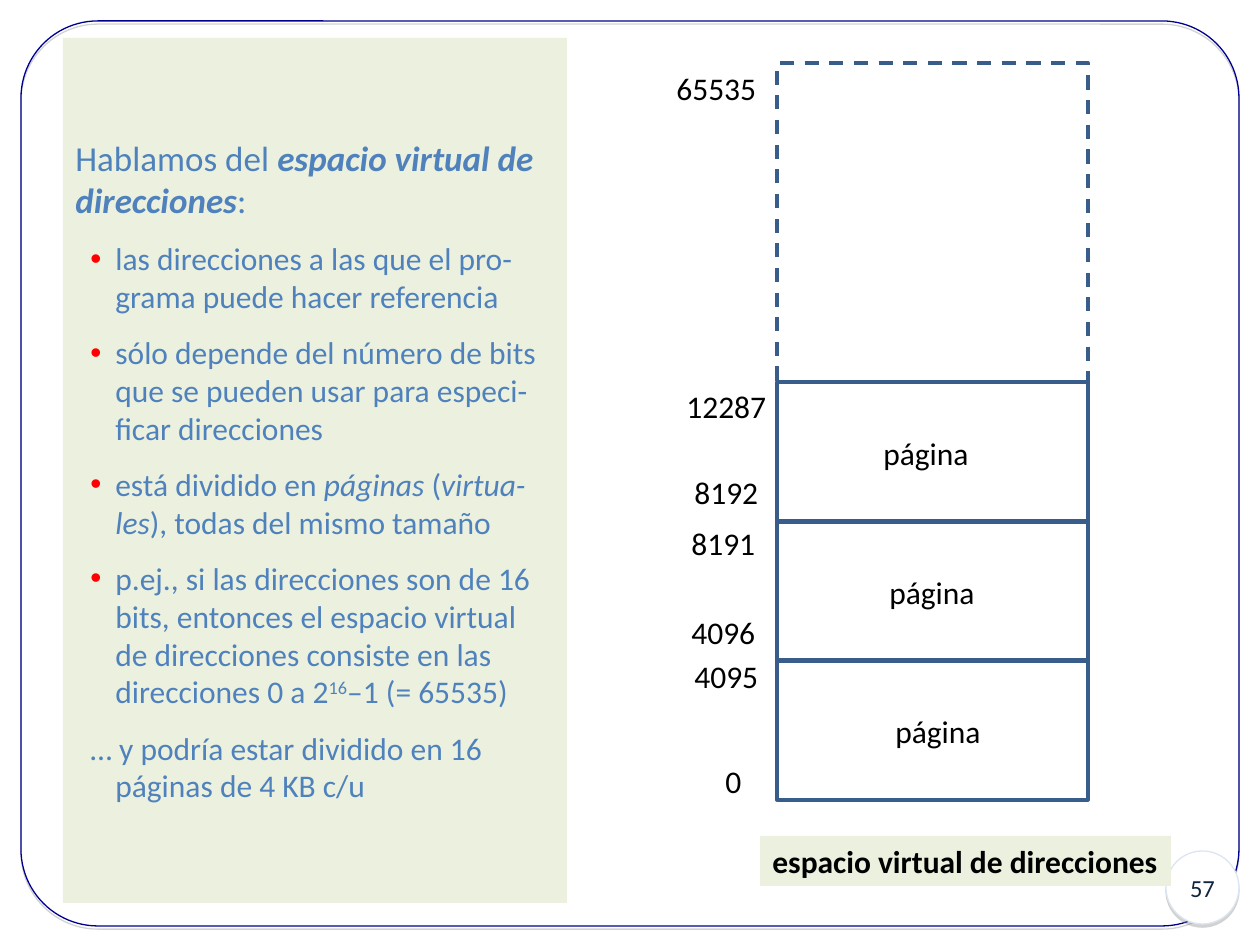
from dataclasses import dataclass

from lxml.etree import SubElement
from pptx import Presentation
from pptx.dml.color import RGBColor as RGB
from pptx.enum.dml import MSO_LINE as LINE
from pptx.enum.shapes import MSO_SHAPE as SHAPE
from pptx.enum.text import MSO_ANCHOR as ANCHOR
from pptx.enum.text import MSO_AUTO_SIZE as AUTO
from pptx.enum.text import PP_ALIGN as ALIGN
from pptx.oxml.ns import qn
from pptx.util import Emu, Pt


@dataclass(frozen=True)
class Theme:
    font: str = "Calibri"
    panel: str = "EBF1DE"
    text: str = "4F81BD"
    black: str = "000000"
    bullet: str = "FF0000"
    page_line: str = "385D8A"
    frame_line: str = "000090"
    badge_fill: str = "FFFFFF"
    badge_line: str = "DCE6F2"
    badge_text: str = "10253F"
    shadow: str = "808080"
    lead_size: int = 20
    body_size: int = 18
    badge_size: int = 14


T = Theme()
PLAIN, ITALIC, SUPER = {}, {"italic": True}, {"baseline": 30000}
STRONG = {"bold": True, "italic": True}

LEAD = [("Hablamos del ", PLAIN), ("espacio virtual de direcciones", STRONG), (":", PLAIN)]
BULLETS = [
    [("las direcciones a las que el pro-grama puede hacer referencia", PLAIN)],
    [("sólo depende del número de bits que se pueden usar para especi-ficar direcciones", PLAIN)],
    [("está dividido en ", PLAIN), ("páginas", ITALIC), (" (", PLAIN),
     ("virtua-les", ITALIC), ("), todas del mismo tamaño", PLAIN)],
    [("p.ej., si las direcciones son de 16 bits, entonces el espacio virtual de direcciones "
      "consiste en las direcciones 0 a 2", PLAIN), ("16", SUPER), ("–1 (= 65535)", PLAIN)],
]
CLOSING = [("… y podría estar dividido en 16 páginas de 4 KB c/u", PLAIN)]

SPACE_X, SPACE_W, SPACE_TOP = 777, 311, 63
PAGE_TOP, PAGE_STEP, PAGE_H, PAGE_COUNT = 382, 139, 140, 3
LABEL_PAD, DIGIT_W, PAGE_LABEL_W = 28, 16, 114
ADDRESSES = [("65535", 664, 63), ("12287", 674, 381), ("8192", 682, 467), ("8191", 679, 518),
             ("4096", 679, 607), ("4095", 682, 651), ("0", 713, 756)]


def px(n):
    return Emu(round(n * 914400 / 126))


def add_box(s, kind, at, fill=None, line=None, width=0.75, dash=None):
    sp = s.shapes.add_shape(kind, *map(px, at))
    sp.shadow.inherit = False
    if fill:
        sp.fill.solid()
        sp.fill.fore_color.rgb = RGB.from_string(fill)
    else:
        sp.fill.background()
    if line:
        sp.line.color.rgb = RGB.from_string(line)
        sp.line.width = Pt(width)
        sp.line.dash_style = dash
    else:
        sp.line.fill.background()
    return sp


def add_shadow(sp):
    """Give the shape a sharp shadow straight below it."""
    effects = sp._element.spPr.find(qn("a:effectLst"))
    shadow = SubElement(effects, qn("a:outerShdw"), dist=str(Pt(1.8)), dir="5400000", rotWithShape="0")
    color = SubElement(shadow, qn("a:srgbClr"), val=T.shadow)
    SubElement(color, qn("a:alpha"), val="35000")


def add_run(p, text, size, color, **style):
    r = p.add_run()
    r.text = text
    baseline = style.pop("baseline", None)
    for name, value in {"name": T.font, "size": Pt(size), **style}.items():
        setattr(r.font, name, value)
    r.font.color.rgb = RGB.from_string(color)
    if baseline:
        r._r.get_or_add_rPr().set("baseline", str(baseline))


def add_item(tf, runs, bullet=True):
    """Add a paragraph with a hanging indent, with or without its bullet."""
    p = tf.add_paragraph()
    for name, value in {"level": 1, "space_before": Pt(10.5), "alignment": ALIGN.LEFT}.items():
        setattr(p, name, value)
    pPr = p._p.get_or_add_pPr()
    pPr.set("marL", str(px(40)))
    pPr.set("indent", str(px(-25)))
    if bullet:
        color = SubElement(pPr, qn("a:buClr"))
        SubElement(color, qn("a:srgbClr"), val=T.bullet)
        SubElement(pPr, qn("a:buFont"), typeface="Arial")
        SubElement(pPr, qn("a:buChar"), char="•")
    for text, style in runs:
        add_run(p, text, T.body_size, T.text, **style)


def add_label(s, text, x, y, w, **style):
    sp = s.shapes.add_textbox(*map(px, (x, y, w, 50)))
    tf = sp.text_frame
    tf.word_wrap = False
    tf.auto_size = AUTO.SHAPE_TO_FIT_TEXT
    add_run(tf.paragraphs[0], text, T.body_size, T.black, **style)
    return sp


def add_frame(s):
    frame = add_box(s, SHAPE.ROUNDED_RECTANGLE, (21, 21, 1218, 905), line=T.frame_line)
    frame.adjustments[0] = 0.085
    add_shadow(frame)


def add_page_number(s, number):
    badge = add_box(s, SHAPE.OVAL, (1166, 851, 73, 73), T.badge_fill, T.badge_line)
    add_shadow(badge)
    p = badge.text_frame.paragraphs[0]
    p.alignment = ALIGN.CENTER
    add_run(p, number, T.badge_size, T.badge_text)


def add_panel(s):
    tf = add_box(s, SHAPE.RECTANGLE, (63, 38, 504, 865), T.panel).text_frame
    tf.word_wrap = True
    tf.vertical_anchor = ANCHOR.MIDDLE
    p = tf.paragraphs[0]
    p.alignment = ALIGN.LEFT
    for text, style in LEAD:
        add_run(p, text, T.lead_size, T.text, **style)
    for runs in BULLETS:
        add_item(tf, runs)
    add_item(tf, CLOSING, bullet=False)


def add_address_space(s):
    outline = (SPACE_X, SPACE_TOP, SPACE_W, PAGE_TOP + PAGE_STEP - SPACE_TOP)
    add_box(s, SHAPE.RECTANGLE, outline, line=T.page_line, width=2, dash=LINE.DASH)
    for i in range(PAGE_COUNT):
        y = PAGE_TOP + i * PAGE_STEP
        add_box(s, SHAPE.RECTANGLE, (SPACE_X, y, SPACE_W, PAGE_H), line=T.page_line, width=2)
        add_label(s, "página", 871 + 6 * i, y + 46, PAGE_LABEL_W)
    for text, x, y in ADDRESSES:
        add_label(s, text, x, y, LABEL_PAD + DIGIT_W * len(text))
    caption = add_label(s, "espacio virtual de direcciones", 760, 836, 411, bold=True)
    caption.fill.solid()
    caption.fill.fore_color.rgb = RGB.from_string(T.panel)


def main():
    prs = Presentation()
    prs.slide_width, prs.slide_height = px(1260), px(945)
    s = prs.slides.add_slide(prs.slide_layouts[6])
    add_frame(s)
    add_page_number(s, "57")
    add_panel(s)
    add_address_space(s)
    prs.save("out.pptx")


if __name__ == "__main__":
    main()
